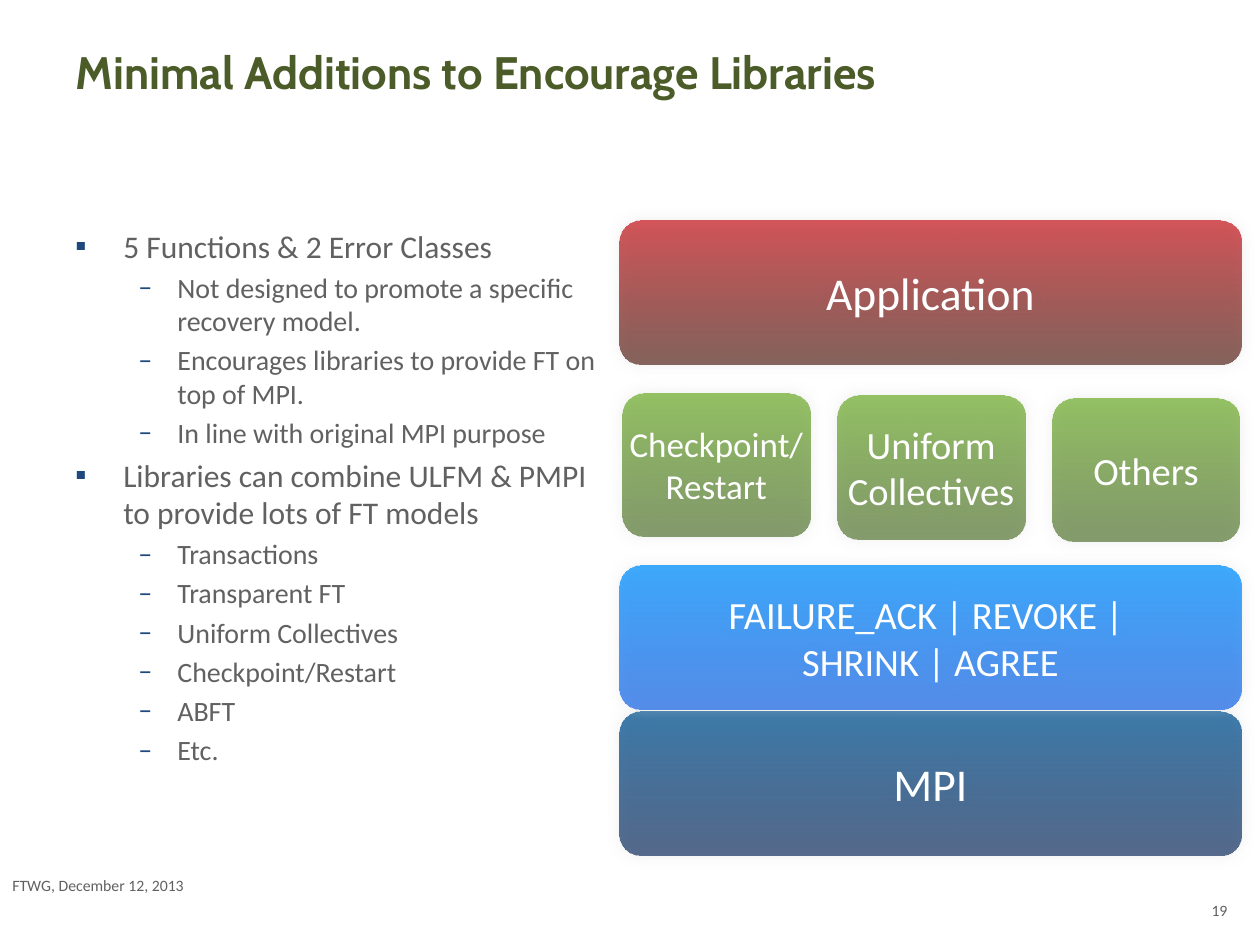
import pptx
import pptx.util
from pptx.dml.color import RGBColor
from pptx.enum.shapes import MSO_SHAPE
from pptx.enum.text import MSO_ANCHOR, PP_ALIGN
from pptx.oxml.ns import qn
from lxml import etree

COLORS = {
    "title": "4B5C29", "body": "616161", "bullet": "1F497D",
    "white": "FFFFFF", "shadow": "D2D2D2",
}
GRADIENTS = {
    "red": ("C82026", "49160B"), "green": ("74B034", "496C25"),
    "azure": ("0090FF", "0057E5"), "navy": ("005291", "002054"),
}
# level: (bullet, size, left margin, hanging indent), lengths in inches
LEVELS = [("▪", 18, 0.38, 0.38), ("–", 16, 0.81, 0.31)]

POINTS = [
    (0, "5 Functions & 2 Error Classes"),
    (1, "Not designed to promote a specific recovery model."),
    (1, "Encourages libraries to provide FT on top of MPI."),
    (1, "In line with original MPI purpose"),
    (0, "Libraries can combine ULFM & PMPI to provide lots of FT models"),
    (1, "Transactions"),
    (1, "Transparent FT"),
    (1, "Uniform Collectives"),
    (1, "Checkpoint/Restart"),
    (1, "ABFT"),
    (1, "Etc."),
]
LIBRARIES = [
    (["Checkpoint/Restart"], 20),
    (["Uniform", "Collectives"], 22),
    (["Others"], 22),
]
STACK_LEFT, STACK_WIDTH, TILE_WIDTH, TILE_HEIGHT = 49.2, 49.3, 14.9, 11.4


def sub(parent, tag, **attrs):
    return etree.SubElement(parent, qn(tag), attrs)


class Deck:
    """One slide on a grid of 100 columns by 75 rows, with its text style."""

    def __init__(self, prs):
        self.s = prs.slides.add_slide(prs.slide_layouts[5])
        self.col = prs.slide_width / 100
        self.row = prs.slide_height / 75

    def box(self, x, y, w, h):
        return (round(x * self.col), round(y * self.row),
                round(w * self.col), round(h * self.row))

    def run(self, p, text, size, color="body", font="Calibri", bold=False):
        r = p.add_run()
        r.text = text
        r.font.name, r.font.size, r.font.bold = font, pptx.util.Pt(size), bold
        r.font.color.rgb = RGBColor.from_string(COLORS[color])

    def paragraphs(self, tf, count):
        return [tf.paragraphs[0]] + [tf.add_paragraph() for _ in range(count - 1)]

    def title(self, text, *grid):
        sp = self.s.shapes.title
        sp.left, sp.top, sp.width, sp.height = self.box(*grid)
        tf = sp.text_frame
        tf.vertical_anchor = MSO_ANCHOR.TOP
        p = tf.paragraphs[0]
        p.alignment = PP_ALIGN.LEFT
        self.run(p, text, 26, "title", "Cabin", True)

    def text_frame(self, *grid):
        tf = self.s.shapes.add_textbox(*self.box(*grid)).text_frame
        tf.word_wrap = True
        return tf

    def label(self, text, align, *grid):
        p = self.text_frame(*grid).paragraphs[0]
        p.alignment = align
        self.run(p, text, 9)

    def bullets(self, points, *grid):
        tf = self.text_frame(*grid)
        for i, (p, (level, text)) in enumerate(zip(self.paragraphs(tf, len(points)), points)):
            char, size, margin, hang = LEVELS[level]
            p.level = level
            pPr = p._p.get_or_add_pPr()
            pPr.set("marL", str(pptx.util.Inches(margin)))
            pPr.set("indent", str(-pptx.util.Inches(hang)))
            sub(sub(pPr, "a:buClr"), "a:srgbClr", val=COLORS["bullet"])
            sub(pPr, "a:buFont", typeface="Calibri")
            sub(pPr, "a:buChar", char=char)
            if i:
                p.space_before = pptx.util.Pt(size * 0.2)
            self.run(p, text, size)

    def block(self, lines, size, gradient, *grid):
        """Rounded block with a translucent top-to-bottom gradient and a soft glow."""
        sp = self.s.shapes.add_shape(MSO_SHAPE.ROUNDED_RECTANGLE, *self.box(*grid))
        sp.adjustments[0] = 0.15
        sp.line.fill.background()
        sp.fill.gradient()
        sp.fill.gradient_angle = 270
        for stop, color, alpha in zip(sp.fill.gradient_stops, GRADIENTS[gradient], (75, 65)):
            stop.color.rgb = RGBColor.from_string(color)
        for clr, alpha in zip(sp._element.spPr.find(qn("a:gradFill")).iter(qn("a:srgbClr")), (75, 65)):
            sub(clr, "a:alpha", val=str(alpha * 1000))
        sp.shadow.inherit = False
        glow = sub(sp._element.spPr.find(qn("a:effectLst")), "a:outerShdw",
                   blurRad=str(pptx.util.Pt(8)), dist="0", dir="0", rotWithShape="0")
        sub(sub(glow, "a:srgbClr", val=COLORS["shadow"]), "a:alpha", val="50000")
        tf = sp.text_frame
        tf.word_wrap = True
        tf.vertical_anchor = MSO_ANCHOR.MIDDLE
        tf.margin_left = tf.margin_top = tf.margin_right = tf.margin_bottom = 0
        for p, line in zip(self.paragraphs(tf, len(lines)), lines):
            p.alignment = PP_ALIGN.CENTER
            self.run(p, line, size, "white")

    def layer(self, lines, size, gradient, top):
        self.block(lines, size, gradient, STACK_LEFT, top, STACK_WIDTH, TILE_HEIGHT)


def main():
    prs = pptx.Presentation()
    prs.slide_width, prs.slide_height = pptx.util.Inches(10), pptx.util.Inches(7.5)
    deck = Deck(prs)
    deck.title("Minimal Additions to Encourage Libraries", 5, 3, 90, 12.5)
    deck.bullets(POINTS, 5, 17.5, 44.2, 49.5)
    deck.label("FTWG, December 12, 2013", PP_ALIGN.LEFT, 0, 69, 65, 2.5)

    deck.layer(["MPI"], 26, "navy", 56.5)
    for i, (lines, size) in enumerate(LIBRARIES):
        deck.block(lines, size, "green", 49.4 + 17.05 * i, 31.2 + 0.2 * i,
                   TILE_WIDTH, TILE_HEIGHT)
    deck.layer(["Application"], 26, "red", 17.5)
    deck.layer(["FAILURE_ACK | REVOKE | ", "SHRINK | AGREE"], 22, "azure", 44.9)

    deck.label("19", PP_ALIGN.RIGHT, 94.2, 71, 4.2, 4)
    prs.save("out.pptx")


if __name__ == "__main__":
    main()
